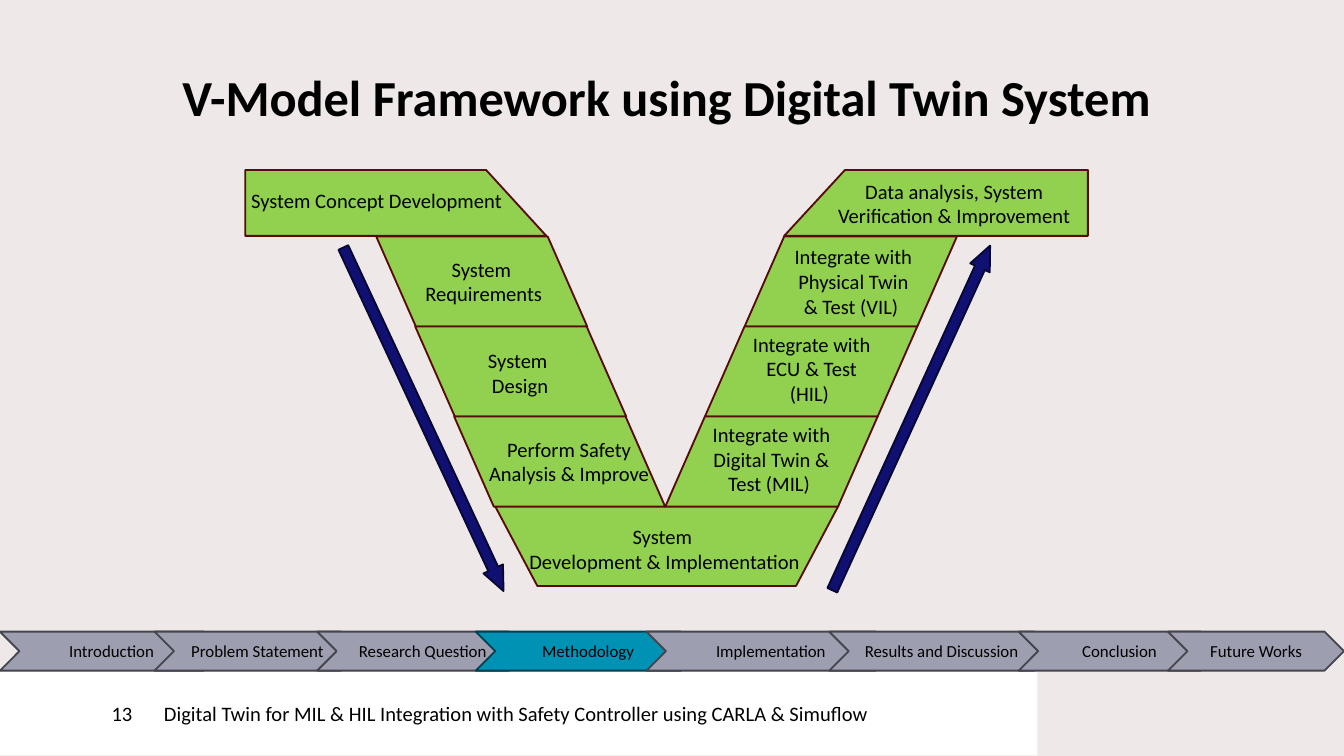
import pptx
import pptx.dml.color
import pptx.enum.shapes
import pptx.enum.text
import pptx.util

Inches = pptx.util.Inches
Shape = pptx.enum.shapes.MSO_SHAPE
Align = pptx.enum.text.PP_ALIGN
Anchor = pptx.enum.text.MSO_ANCHOR

deck = pptx.Presentation()
deck.slide_width = Inches(10)
deck.slide_height = Inches(10) * 9 // 16
page = deck.slides.add_slide(deck.slide_layouts[6])


def add_block(kind, place, fill=None, line=None, rotation=0, adjust=(), flip=False):
    """Add a preset shape, or a text box when kind is None."""
    lengths = [Inches(value) for value in place]
    if kind is None:
        return page.shapes.add_textbox(*lengths)
    block = page.shapes.add_shape(kind, *lengths)
    block.shadow.inherit = False
    block.rotation = rotation
    for index, value in enumerate(adjust):
        block.adjustments[index] = value
    block.fill.solid()
    block.fill.fore_color.rgb = pptx.dml.color.RGBColor.from_string(fill)
    if line:
        block.line.color.rgb = pptx.dml.color.RGBColor.from_string(line)
        block.line.width = pptx.util.Pt(1)
    else:
        block.line.fill.background()
    if flip:
        block._element.spPr.get_or_add_xfrm().set("flipH", "1")
    return block


def write(block, lines, size=11, align=Align.CENTER, anchor=Anchor.TOP, left=0.1, edge=0.05):
    frame = block.text_frame
    frame.word_wrap = True
    frame.vertical_anchor = anchor
    frame.margin_left = Inches(left)
    frame.margin_right = Inches(min(left, 0.1))
    frame.margin_top = frame.margin_bottom = Inches(edge)
    frame.text = "\n".join(lines)
    for para in frame.paragraphs:
        para.alignment = align
        para.font.name = "Calibri"
        para.font.size = pptx.util.Pt(size)
        para.font.color.rgb = pptx.dml.color.RGBColor.from_string("000000")


page.background.fill.solid()
page.background.fill.fore_color.rgb = pptx.dml.color.RGBColor.from_string("EEE8E8")

# Footer and page number
footer = "Digital Twin for MIL & HIL Integration with Safety Controller using CARLA & Simuflow"
for place, text, left in [((1.22, 5, 6.5, 0.62), footer, 0), ((0, 5, 1.22, 0.62), "13", 0.83)]:
    strip = add_block(Shape.RECTANGLE, place, "FFFFFF")
    write(strip, [text], align=Align.LEFT, anchor=Anchor.MIDDLE, left=left, edge=0)

# Title
title = add_block(None, (0.83, 0.57, 8.26, 0.59))
write(title, ["V-Model Framework using Digital Twin System"], size=27, left=0, edge=0)
title.text_frame.paragraphs[0].font.bold = True
title.text_frame.paragraphs[0].line_spacing = pptx.util.Pt(27)

# V shape: base, two arms of three steps, and a cap on each arm
green, maroon = "92D050", "580B0B"
add_block(Shape.TRAPEZOID, (3.68, 3.76, 2.56, 0.6), green, maroon, 180, [0.529])
for step in range(3):
    top = 1.76 + 0.67 * step
    add_block(Shape.PARALLELOGRAM, (5.54 - 0.295 * step, top, 1.58, 0.67),
              green, maroon, adjust=[0.44])
    add_block(Shape.PARALLELOGRAM, (2.8 + 0.29 * step, top, 1.57, 0.67),
              green, maroon, adjust=[0.44], flip=True)
add_block(Shape.FLOWCHART_MANUAL_INPUT, (6.72, 0.38, 0.49, 2.26), green, maroon, 270, flip=True)
add_block(Shape.FLOWCHART_MANUAL_INPUT, (2.7, 0.39, 0.49, 2.24), green, maroon, 90)

# Labels on the V
concept = add_block(None, (1.77, 1.35, 2.1, 0.29))
write(concept, ["System Concept Development"], align=Align.LEFT)
labels = [
    ((3.03, 1.86, 1.14, 0.47), ["System ", "Requirements"]),
    ((3.82, 3.85, 2.25, 0.47), ["System ", "Development & Implementation"]),
    ((3.52, 3.2, 1.43, 0.47), ["Perform Safety", "Analysis & Improve"]),
    ((3.3, 2.54, 1.14, 0.47), ["System ", "Design"]),
    ((5.17, 3.09, 1.14, 0.66), ["Integrate with Digital Twin & Test (MIL) "]),
    ((5.47, 2.42, 1.14, 0.66), ["Integrate with ECU & Test (HIL) "]),
    ((5.78, 1.77, 1.14, 0.66), ["Integrate with Physical Twin & Test (VIL) "]),
    ((5.97, 1.28, 2.26, 0.47), ["Data analysis, System Verification & Improvement"]),
]
for place, lines in labels:
    write(add_block(None, place), lines)

# Arrows down the left arm and up the right arm
for left, top, rotation in [(1.74, 3.04, 65), (5.37, 3.03, 294.6)]:
    add_block(Shape.RIGHT_ARROW, (left, top, 2.82, 0.16), "101073", "070732",
              rotation, [0.5, 1.134])

# Progress bar of chapters
chapters = [
    ("Introduction", 0, 1.66),
    ("Problem Statement", 1.15, 1.53),
    ("Research Question", 2.36, 1.57),
    ("Methodology", 3.54, 1.67),
    ("Implementation", 4.81, 1.85),
    ("Results and Discussion", 6.17, 1.67),
    ("Conclusion", 7.58, 1.5),
    ("Future Works", 8.69, 1.31),
]
for name, left, width in chapters:
    fill, line = ("0092B5", "00404F") if name == "Methodology" else ("9E9EB1", "45454E")
    chevron = add_block(Shape.CHEVRON, (left, 4.7, width, 0.29), fill, line)
    write(chevron, [name], size=9, anchor=Anchor.MIDDLE, left=0)

deck.save("out.pptx")
